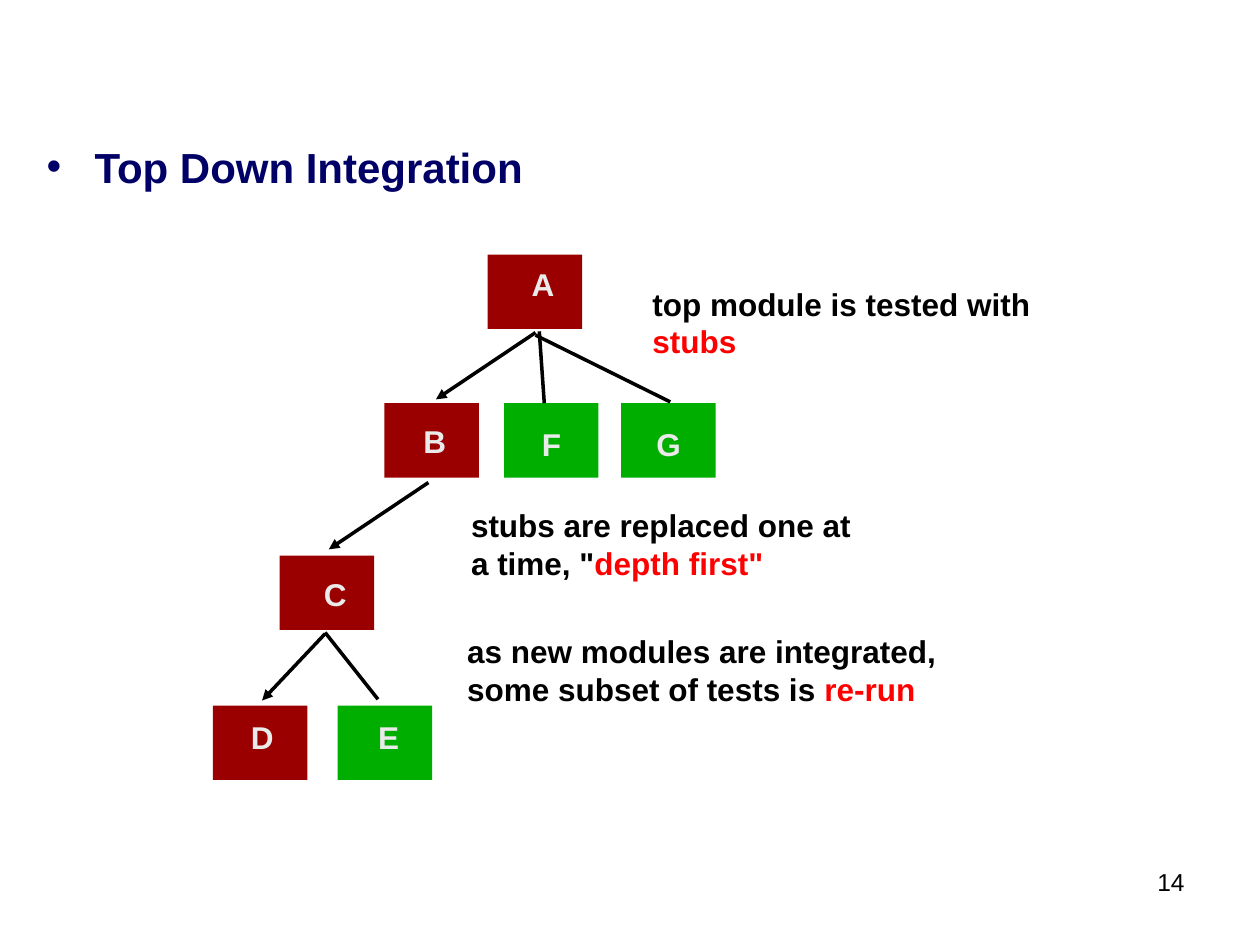
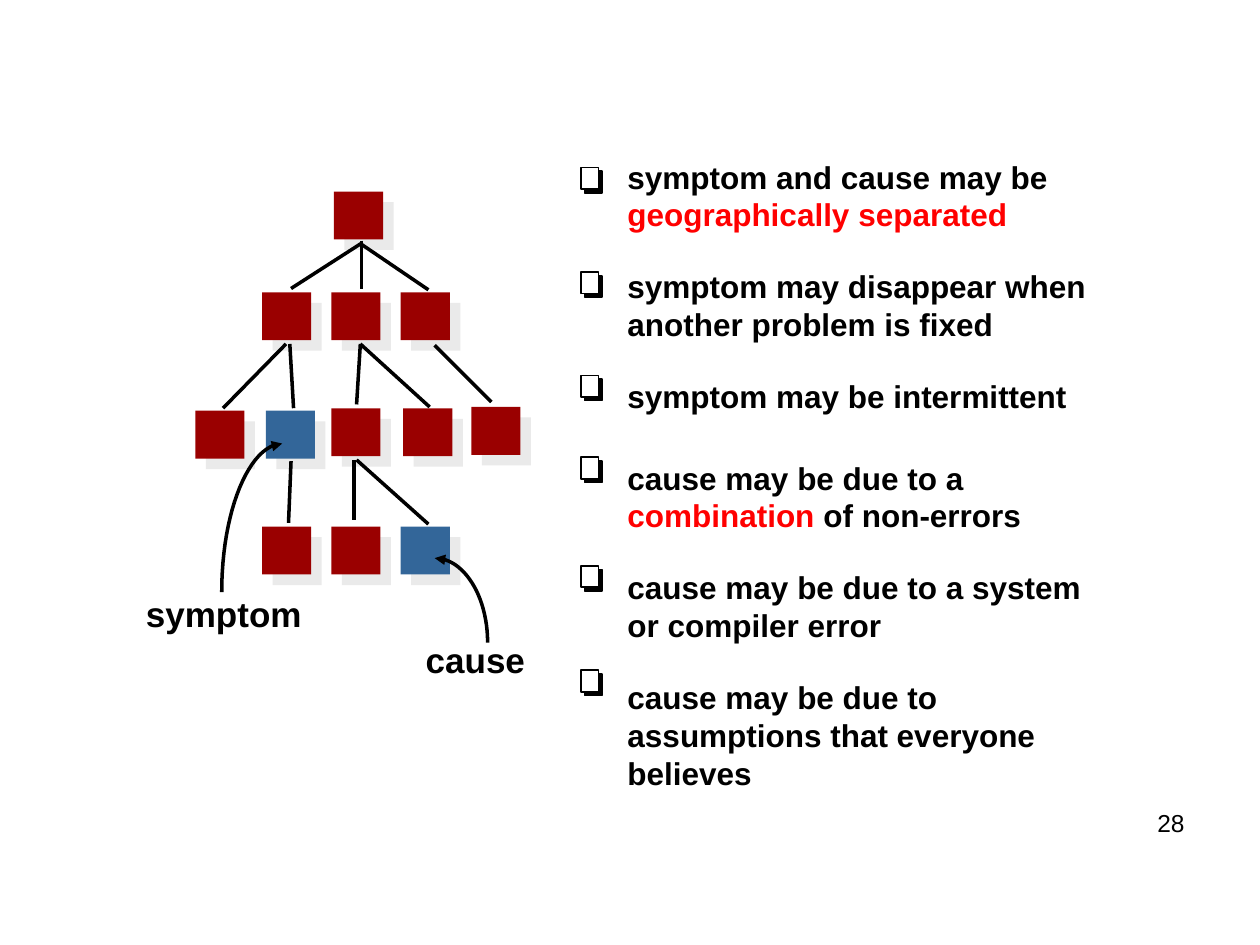
"""Build two slides on top-down integration and on debugging symptoms."""
from dataclasses import dataclass
from typing import Any

from lxml import etree
from pptx import Presentation
from pptx.dml.color import RGBColor
from pptx.enum.shapes import MSO_CONNECTOR, MSO_SHAPE
from pptx.enum.text import MSO_ANCHOR, MSO_AUTO_SIZE, PP_ALIGN
from pptx.oxml.ns import qn
from pptx.util import Inches, Pt

BLACK = RGBColor(0, 0, 0)
WHITE = RGBColor(0xFF, 0xFF, 0xFF)
RED = RGBColor(0xFF, 0, 0)
NAVY = RGBColor(0, 0, 0x66)
MAROON = RGBColor(0x9A, 0, 0)
GREEN = RGBColor(0, 0xAE, 0)
BLUE = RGBColor(0x33, 0x66, 0x99)
PALE = RGBColor(0xEA, 0xEA, 0xEA)

FONT = "Arial"
RECTANGLE = MSO_SHAPE.RECTANGLE
STRAIGHT = MSO_CONNECTOR.STRAIGHT
TOP = MSO_ANCHOR.TOP
NO_FIT = MSO_AUTO_SIZE.NONE
LEFT, RIGHT = PP_ALIGN.LEFT, PP_ALIGN.RIGHT
CURVE_STEPS = 24


def add_span(para, text, *, size=18, color=BLACK, bold=True):
    span = para.add_run()
    span.text = text
    span.font.name = FONT
    span.font.size = Pt(size)
    span.font.bold = bold
    span.font.color.rgb = color


def add_child(parent, tag, **attributes):
    child = etree.SubElement(parent, qn(tag))
    for name, value in attributes.items():
        child.set(name, str(value))
    return child


def place(shape, left, top, width, height):
    shape.left, shape.top = Inches(left), Inches(top)
    shape.width, shape.height = Inches(width), Inches(height)


def bezier(start, first, second, end):
    for step in range(CURVE_STEPS + 1):
        t = step / CURVE_STEPS
        weights = ((1 - t) ** 3, 3 * t * (1 - t) ** 2, 3 * t ** 2 * (1 - t), t ** 3)
        yield tuple(Inches(sum(weight * value for weight, value in zip(weights, axis)))
                    for axis in zip(start, first, second, end))


@dataclass
class SlideBuilder:
    deck: Any
    page: Any = None

    def start_page(self, number, number_top):
        self.page = self.deck.slides.add_slide(self.deck.slide_layouts[1])
        title = self.page.shapes.title._element
        title.getparent().remove(title)
        self.text(7.44, number_top, 2.06, 0.52, [(number, BLACK)],
                  size=14, bold=False, align=RIGHT)

    def text(self, left, top, width, height, spans, align=LEFT, **style):
        box = self.page.shapes.add_textbox(
            Inches(left), Inches(top), Inches(width), Inches(height))
        box.text_frame.word_wrap = True
        para = box.text_frame.paragraphs[0]
        para.alignment = align
        for text, color in spans:
            add_span(para, text, color=color, **style)

    def body(self, left, top, width, height, items, size=18, bullet=None):
        holder = self.page.placeholders[1]
        place(holder, left, top, width, height)
        frame = holder.text_frame
        frame.auto_size = NO_FIT
        frame.word_wrap = True
        frame.vertical_anchor = TOP
        for index, (gap, spans) in enumerate(items):
            para = frame.add_paragraph() if index else frame.paragraphs[0]
            properties = para._p.get_or_add_pPr()
            indent = Inches(0.38) if bullet else 0
            properties.set("marL", str(indent))
            properties.set("indent", str(-indent))
            if bullet:
                tint = add_child(properties, "a:buClr")
                add_child(tint, "a:srgbClr", val=spans[0][1])
                add_child(properties, "a:buFont", typeface=FONT)
                add_child(properties, "a:buChar", char=bullet)
            else:
                add_child(properties, "a:buNone")
            para.space_before = Pt(gap)
            for text, color in spans:
                add_span(para, text, size=size, color=color)

    def rectangle(self, left, top, width, height, fill, line=None, shadow=None):
        shape = self.page.shapes.add_shape(
            RECTANGLE, Inches(left), Inches(top), Inches(width), Inches(height))
        shape.fill.solid()
        shape.fill.fore_color.rgb = fill
        if line is None:
            shape.line.fill.background()
        else:
            shape.line.color.rgb = line
            shape.line.width = Pt(1)
        shape.shadow.inherit = False
        if shadow is not None:
            effects = shape._element.spPr.find(qn("a:effectLst"))
            outer = add_child(effects, "a:outerShdw", dist=Pt(8.5), dir=45 * 60000,
                              algn="ctr", rotWithShape=0)
            add_child(outer, "a:srgbClr", val=shadow)
        return shape

    def module(self, letter, left, top, fill, inset_left, inset_top):
        shape = self.rectangle(left, top, 0.75, 0.59, fill)
        frame = shape.text_frame
        frame.word_wrap = True
        frame.vertical_anchor = TOP
        frame.margin_left, frame.margin_top = Inches(inset_left), Inches(inset_top)
        frame.margin_right = frame.margin_bottom = 0
        frame.paragraphs[0].alignment = LEFT
        add_span(frame.paragraphs[0], letter, color=PALE)

    def marker(self, left, top):
        for offset, fill in ((0.03, BLACK), (0, WHITE)):
            self.rectangle(left + offset, top + offset, 0.14, 0.17, fill, line=BLACK)

    def stroke(self, shape, arrow):
        shape.line.color.rgb = BLACK
        shape.line.width = Pt(2)
        if arrow:
            add_child(shape.line._get_or_add_ln(), "a:tailEnd", type="triangle")

    def line(self, start, end, arrow=False):
        connector = self.page.shapes.add_connector(
            STRAIGHT, *(Inches(value) for value in (*start, *end)))
        self.stroke(connector, arrow)
        add_child(connector._element.spPr, "a:effectLst")

    def curved_arrow(self, *controls):
        start, *points = bezier(*controls)
        outline = self.page.shapes.build_freeform(*start)
        outline.add_line_segments(points, close=False)
        curve = outline.convert_to_shape()
        curve.fill.background()
        self.stroke(curve, arrow=True)
        curve.shadow.inherit = False


def integration_slide(builder):
    builder.start_page("14", 6.83)
    builder.body(0.27, 1.07, 9, 0.95, [(0, [("Top Down Integration", NAVY)])],
                 size=24, bullet="•")
    modules = [
        ("A", 3.87, 2.02, MAROON, 0.35, 0.08),
        ("B", 3.05, 3.2, MAROON, 0.31, 0.15),
        ("C", 2.22, 4.41, MAROON, 0.35, 0.15),
        ("D", 1.69, 5.6, MAROON, 0.3, 0.1),
        ("E", 2.68, 5.6, GREEN, 0.32, 0.1),
        ("F", 4, 3.2, GREEN, 0.3, 0.17),
        ("G", 4.93, 3.2, GREEN, 0.28, 0.17),
    ]
    for module in modules:
        builder.module(*module)
    links = [
        ((2.58, 5.02), (3, 5.55), False),
        ((4.28, 2.63), (4.32, 3.2), False),
        ((4.25, 2.66), (5.32, 3.19), False),
        ((4.25, 2.64), (3.46, 3.17), True),
        ((3.4, 3.83), (2.61, 4.36), True),
        ((2.58, 5.03), (2.08, 5.56), True),
    ]
    for link in links:
        builder.line(*link)
    notes = [
        (5.08, 2.21, 3.5, [("top module is tested with ", BLACK), ("stubs", RED)]),
        (3.64, 3.97, 3.3, [("stubs are replaced one at a time, \"", BLACK),
                           ("depth first\"", RED)]),
        (3.61, 4.97, 4, [("as new modules are integrated, some subset of tests is ", BLACK),
                         ("re-run", RED)]),
    ]
    for left, top, width, spans in notes:
        builder.text(left, top, width, 0.68, spans)


def symptom_slide(builder):
    builder.start_page("28", 6.36)
    nodes = [
        (2.65, 1.52), (2.08, 2.32), (2.63, 2.32), (3.18, 2.32),
        (1.55, 3.26), (2.11, 3.26), (2.63, 3.24), (3.2, 3.24), (3.74, 3.23),
        (2.08, 4.18), (2.63, 4.18), (3.18, 4.18),
    ]
    highlighted = {(2.11, 3.26), (3.18, 4.18)}
    for node in nodes:
        fill = BLUE if node in highlighted else MAROON
        builder.rectangle(*node, 0.39, 0.38, fill, shadow=PALE)
    branches = [
        ((2.87, 1.93), (2.31, 2.29)), ((2.87, 1.91), (2.87, 2.29)),
        ((2.87, 1.94), (3.4, 2.3)), ((2.27, 2.73), (1.77, 3.24)),
        ((2.3, 2.73), (2.33, 3.24)), ((2.86, 2.73), (2.83, 3.21)),
        ((2.86, 2.73), (3.41, 3.23)), ((3.45, 2.74), (3.9, 3.19)),
        ((2.31, 3.66), (2.29, 4.15)), ((2.81, 3.65), (2.81, 4.13)),
        ((2.83, 3.65), (3.4, 4.16)),
    ]
    for branch in branches:
        builder.line(*branch)
    builder.text(1.06, 4.65, 1.6, 0.43, [("symptom", BLACK)], size=20)
    builder.text(3.28, 5.02, 1.15, 0.43, [("cause", BLACK)], size=20)
    builder.curved_arrow((1.76, 4.7), (1.76, 4.05), (1.98, 3.53), (2.24, 3.52))
    builder.curved_arrow((3.87, 5.1), (3.87, 4.73), (3.68, 4.43), (3.45, 4.43))
    builder.body(4.88, 1.2, 4, 5.1, [
        (0, [("symptom and cause may be ", BLACK), ("geographically separated", RED)]),
        (19.5, [("symptom may disappear when another problem is fixed", BLACK)]),
        (19.5, [("symptom may be intermittent", BLACK)]),
        (25, [("cause may be due to a ", BLACK), ("combination ", RED),
              ("of non-errors", BLACK)]),
        (19.5, [("cause may be due to a system or compiler error", BLACK)]),
        (19.5, [("cause may be due to assumptions that everyone believes", BLACK)]),
    ])
    for top in (1.33, 2.16, 2.98, 3.63, 4.49, 5.32):
        builder.marker(4.61, top)


def main():
    deck = Presentation()
    deck.slide_width, deck.slide_height = Inches(10), Inches(7.5)
    builder = SlideBuilder(deck)
    integration_slide(builder)
    symptom_slide(builder)
    deck.save("out.pptx")


if __name__ == "__main__":
    main()
